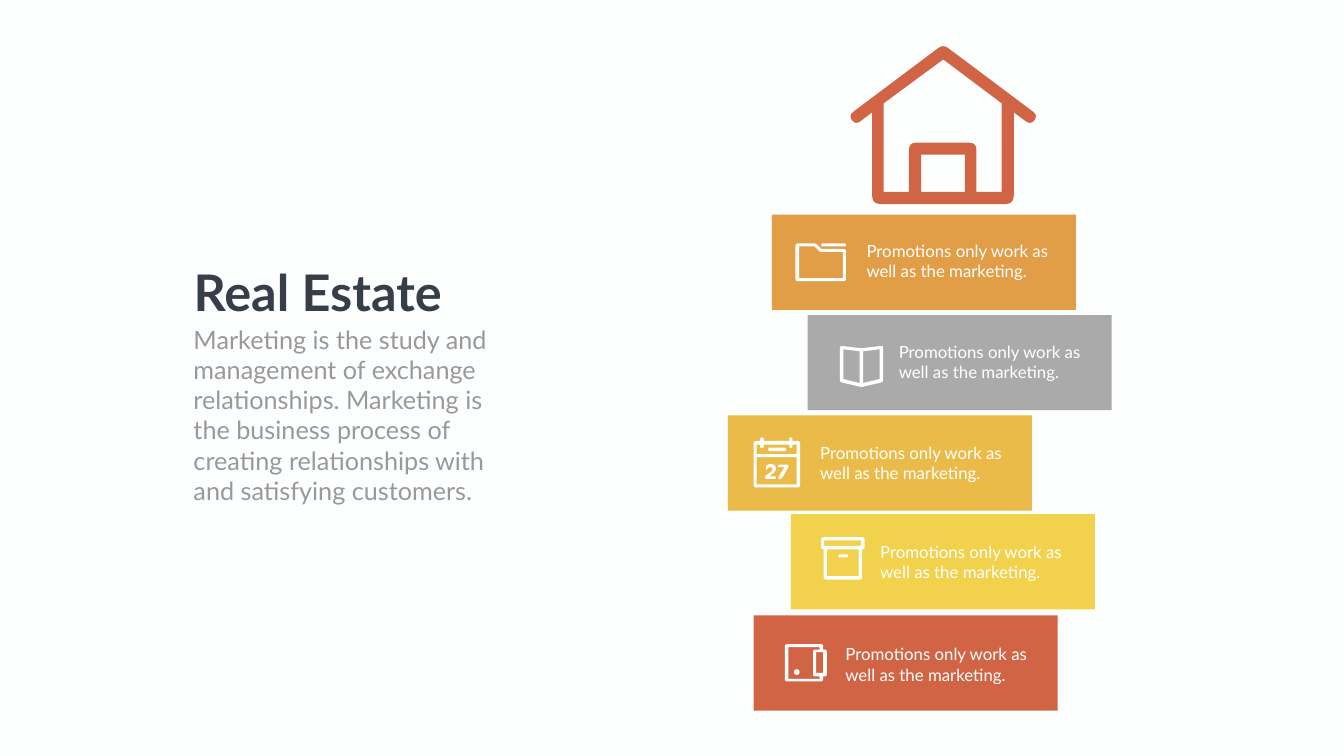
import pptx
import pptx.util
import pptx.dml.color
import pptx.enum.shapes
import pptx.enum.text
from math import dist

Inches = pptx.util.Inches
RGB = pptx.dml.color.RGBColor
NONE = pptx.enum.text.MSO_AUTO_SIZE.NONE
TOP = pptx.enum.text.MSO_ANCHOR.TOP
LEFT = pptx.enum.text.PP_ALIGN.LEFT

PAPER = RGB(0xFD, 0xFF, 0xFE)
WHITE = RGB(0xFF, 0xFF, 0xFF)
NAVY = RGB(0x36, 0x3E, 0x49)
GREY = RGB(0x98, 0x99, 0x98)
RED = RGB(0xD2, 0x64, 0x46)
LEMON = RGB(0xF2, 0xD1, 0x4D)
GOLD = RGB(0xEA, 0xBB, 0x48)
STONE = RGB(0xA9, 0xAA, 0xA9)
AMBER = RGB(0xE2, 0x9D, 0x47)

HEAD = {"name": "Lato", "size": pptx.util.Pt(72), "bold": True}
BODY = {"name": "Lato", "size": pptx.util.Pt(36)}
NOTE = {"name": "Lato", "size": pptx.util.Pt(24)}
CARD_W, CARD_H = 6.03, 1.89


def bar(x1, y1, x2, y2, r=0):
    """Corners of a box, each with corner radius r."""
    return [(x1, y1, r), (x2, y1, r), (x2, y2, r), (x1, y2, r)]


# Icons: shapes made of outlines; points are (x, y, corner radius) in 1/100 inch
HOUSE = [[
    [(186, -2, 12), (374, 139, 12), (360, 158, 12), (326, 133, 0),
     (326, 315, 17), (45, 315, 17), (45, 133, 0), (12, 158, 12), (-2, 139, 12)],
    bar(142, 217, 229, 291),
    [(186, 28, 0), (302, 115, 0), (302, 291, 0), (252, 291, 0), (252, 193, 15),
     (118, 193, 15), (118, 291, 0), (68, 291, 0), (68, 115, 0)],
]]
FOLDER = [
    [[(0, 0, 5), (40, 0, 3), (52, 11, 0), (100, 11, 5), (100, 75, 5), (0, 75, 5)],
     [(7, 6, 0), (38, 6, 0), (49, 17, 2), (94, 17, 0), (94, 69, 0), (7, 69, 0)]],
    [bar(51, 0, 100, 6, 3)],
]
BOOK = [[
    [(0, 0, 5), (43, 5, 0), (86, 0, 5), (86, 72, 5), (43, 82, 3), (0, 72, 5)],
    [(7, 7, 0), (39, 11, 0), (39, 74, 0), (7, 66, 0)],
    [(46, 11, 0), (79, 7, 0), (79, 66, 0), (46, 74, 0)],
]]
DATE = [
    [[(0, 7, 5), (13, 7, 0), (13, 0, 3), (20, 0, 3), (20, 7, 0), (71, 7, 0),
      (71, 0, 3), (77, 0, 3), (77, 7, 0), (92, 7, 5), (92, 99, 5), (0, 99, 5)],
     [(6, 14, 0), (13, 14, 0), (13, 21, 3), (20, 21, 3), (20, 14, 0), (71, 14, 0),
      (71, 21, 3), (77, 21, 3), (77, 14, 0), (85, 14, 0), (85, 33, 0), (6, 33, 0)],
     bar(6, 39, 85, 93)],
    [bar(29, 20, 64, 27, 3)],
    # Digits 2 and 7
    [[(24, 58, 3), (28, 53, 4), (44, 53, 9), (44, 67, 6), (31, 77, 0),
      (44, 77, 2), (44, 82, 2), (22, 82, 2), (22, 77, 3), (32, 70, 2),
      (37, 66, 3), (37, 59, 4), (30, 59, 2), (25, 65, 2)]],
    [[(48, 54, 3), (69, 54, 3), (69, 59, 2), (56, 81, 2), (53, 83, 2),
      (49, 82, 2), (50, 77, 2), (61, 59, 0), (48, 59, 2)]],
]
CRATE = [
    [[(0, 0, 5), (86, 0, 5), (86, 24, 5), (81, 24, 0), (81, 84, 5),
      (5, 84, 5), (5, 24, 0), (0, 24, 5)],
     bar(6, 6, 79, 17), bar(11, 24, 74, 77)],
    [bar(34, 34, 53, 40, 3)],
]
PURSE = [
    [[(0, 0, 5), (76, 0, 5), (76, 11, 0), (83, 11, 4), (83, 64, 4),
      (76, 64, 0), (76, 74, 5), (0, 74, 5)],
     [(7, 6, 0), (69, 6, 0), (69, 11, 0), (56, 11, 4), (56, 64, 4),
      (69, 64, 0), (69, 69, 0), (7, 69, 0)],
     bar(62, 16, 76, 57)],
    [bar(18, 50, 29, 61, 5.5)],
]

# Cards: left, top, fill, icon, icon offset, text offset
CARDS = [
    (14.95, 12.21, RED, PURSE, (0.62, 0.57), (1.72, 0.52)),
    (15.69, 10.2, LEMON, CRATE, (0.6, 0.46), (1.67, 0.5)),
    (14.44, 8.24, GOLD, DATE, (0.51, 0.44), (1.73, 0.49)),
    (16.02, 6.25, STONE, BOOK, (0.64, 0.61), (1.71, 0.48)),
    (15.31, 4.26, AMBER, FOLDER, (0.47, 0.57), (1.78, 0.47)),
]


def soften(path):
    """Replace each corner with a short sampled curve, in 1/10000 inch."""
    out = []
    for i, (x, y, r) in enumerate(path):
        ends = []
        for near in (path[i - 1], path[(i + 1) % len(path)]):
            t = r / dist((x, y), near[:2])
            ends.append((x + (near[0] - x) * t, y + (near[1] - y) * t))
        (ax, ay), (bx, by) = ends
        for t in (0, 0.25, 0.5, 0.75, 1) if r else (0,):
            u = 1 - t
            out.append((100 * (u * u * ax + 2 * u * t * x + t * t * bx),
                        100 * (u * u * ay + 2 * u * t * y + t * t * by)))
    return out


def paint(shape, color):
    shape.shadow.inherit = False
    shape.fill.solid()
    shape.fill.fore_color.rgb = color
    shape.line.fill.background()


def draw(slide, icon, left, top, color):
    for part in icon:
        pen = None
        for path in map(soften, part):
            if pen is None:
                pen = slide.shapes.build_freeform(*path[0], scale=Inches(1) / 10000)
            else:
                pen.move_to(*path[0])
            pen.add_line_segments(path[1:], close=True)
        paint(pen.convert_to_shape(Inches(left), Inches(top)), color)


def write(shape, text, style, color, wrap=True):
    frame = shape.text_frame
    frame.text = text
    form = {"word_wrap": wrap, "auto_size": NONE, "vertical_anchor": TOP}
    for key, value in form.items():
        setattr(frame, key, value)
    para = frame.paragraphs[0]
    para.alignment = LEFT
    for key, value in style.items():
        setattr(para.runs[0].font, key, value)
    para.runs[0].font.color.rgb = color


def intro(slide, left, top, width):
    # Heading
    title = slide.shapes.title
    spot = {"left": left, "top": top, "width": 5.26, "height": 1.31}
    for key, value in spot.items():
        setattr(title, key, Inches(value))
    write(title, "Real Estate", HEAD, NAVY, wrap=False)
    # Summary
    box = slide.shapes.add_textbox(
        Inches(left), Inches(top + 1.24), Inches(width), Inches(3.74))
    write(box, "Marketing is the study and management of exchange relationships. "
          "Marketing is the business process of creating relationships with "
          "and satisfying customers.", BODY, GREY)


def card(slide, left, top, color, icon, mark, note):
    block = slide.shapes.add_shape(
        pptx.enum.shapes.MSO_SHAPE.RECTANGLE,
        Inches(left), Inches(top), Inches(CARD_W), Inches(CARD_H))
    paint(block, color)
    draw(slide, icon, left + mark[0], top + mark[1], WHITE)
    box = slide.shapes.add_textbox(
        Inches(left + note[0]), Inches(top + note[1]), Inches(4.02), Inches(0.91))
    write(box, "Promotions only work as well as the marketing.", NOTE, WHITE)


def main():
    deck = pptx.Presentation()
    deck.slide_width, deck.slide_height = Inches(26.66), Inches(15)
    slide = deck.slides.add_slide(deck.slide_layouts[5])
    slide.background.fill.solid()
    slide.background.fill.fore_color.rgb = PAPER
    intro(slide, 3.74, 5.14, 6.54)
    # House on a stack of cards
    draw(slide, HOUSE, 16.85, 0.9, RED)
    for item in CARDS:
        card(slide, *item)
    deck.save("out.pptx")


if __name__ == "__main__":
    main()
